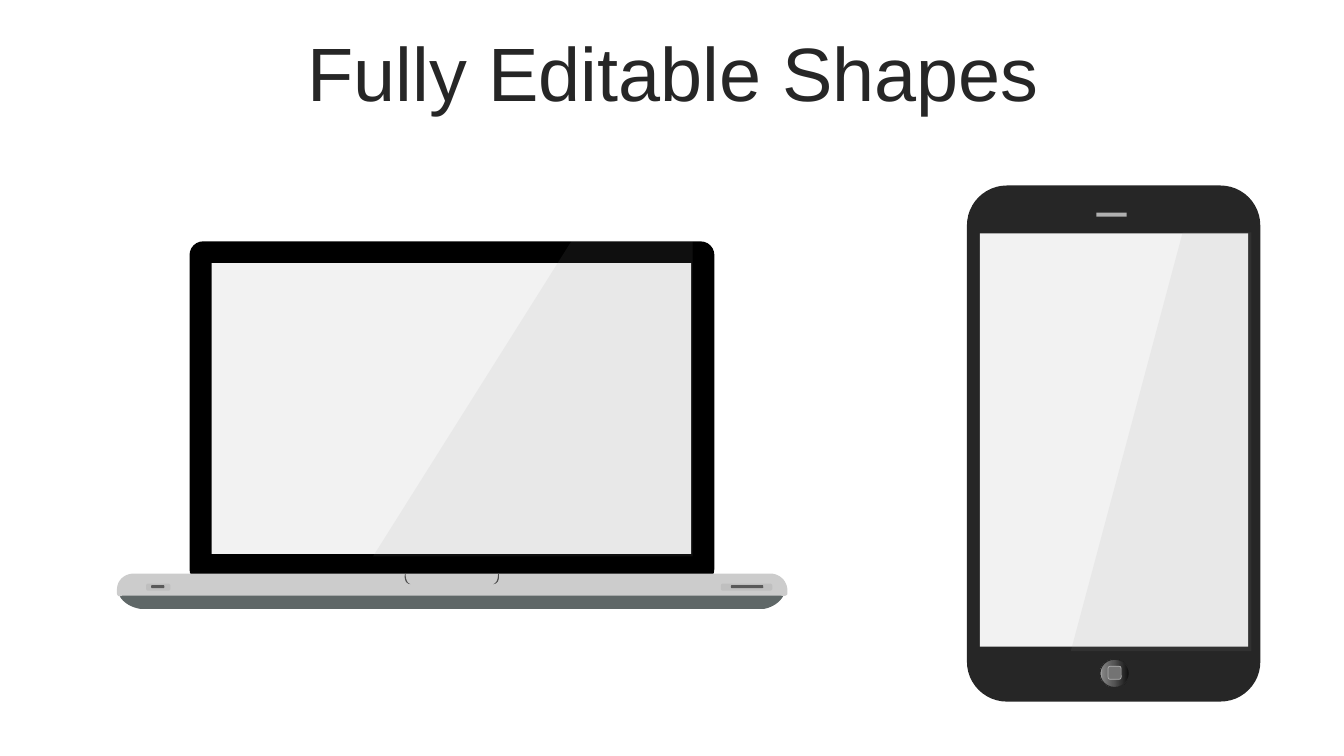
import dataclasses

import pptx
import pptx.dml.color
import pptx.enum.shapes
import pptx.enum.text
import pptx.oxml.ns
import pptx.util
from lxml import etree

SHAPE = pptx.enum.shapes.MSO_SHAPE
qn = pptx.oxml.ns.qn


@dataclasses.dataclass(frozen=True)
class Theme:
    font: str = "Arial"
    title_size: float = 54
    ink: str = "262626"
    lid: str = "000000"
    screen: str = "F2F2F2"
    glare: str = "999999"
    glare_alpha: int = 10
    deck: str = "CCCCCC"
    base: str = "5F6767"
    notch: str = "4D4D4D"
    port: str = "BFBFBF"
    slot: str = "595959"
    speaker: str = "B0B0B0"
    key: str = "737373"
    button: tuple = ((0, "0F0F0F"), (56, "595959"), (91, "808080"), (100, "BFBFBF"))


def rgb(color):
    return pptx.dml.color.RGBColor.from_string(color)


def trace(contour, steps=12):
    """Turn corners (x, y) and cubic curves (x1, y1, x2, y2, x, y) into points."""
    points = []
    for part in contour:
        if len(part) == 2:
            points.append(part)
            continue
        ends = [points[-1], part[:2], part[2:4], part[4:]]
        for i in range(1, steps + 1):
            t = i / steps
            weights = ((1 - t) ** 3, 3 * t * (1 - t) ** 2, 3 * t * t * (1 - t), t ** 3)
            points.append(tuple(sum(w * e[axis] for w, e in zip(weights, ends))
                                for axis in (0, 1)))
    return points


class Canvas:
    """Draws on a slide with a grid of 0.1 inch columns and rows."""

    CELL = pptx.util.Inches(0.1)

    def __init__(self, slide, theme):
        self.s = slide
        self.theme = theme

    def grid(self, *cells):
        return [pptx.util.Emu(round(c * self.CELL)) for c in cells]

    def paint(self, sp, fill, line=None, width=0, alpha=None):
        sp.shadow.inherit = False
        if isinstance(fill, str):
            sp.fill.solid()
            sp.fill.fore_color.rgb = rgb(fill)
        else:
            self.gradient(sp, fill)
        if alpha is not None:
            color = sp._element.spPr.find(".//" + qn("a:srgbClr"))
            etree.SubElement(color, qn("a:alpha"), val=str(alpha * 1000))
        if line:
            sp.line.color.rgb = rgb(line)
            sp.line.width = pptx.util.Pt(width)
        else:
            sp.line.fill.background()

    def gradient(self, sp, stops):
        sp.fill.gradient()
        sp.fill.gradient_angle = 180
        stop_list = sp._element.spPr.find(".//" + qn("a:gsLst"))
        for old in list(stop_list):
            stop_list.remove(old)
        for pos, color in stops:
            stop = etree.SubElement(stop_list, qn("a:gs"), pos=str(pos * 1000))
            etree.SubElement(stop, qn("a:srgbClr"), val=color)

    def shape(self, kind, box, fill, round_by=None, **style):
        sp = self.s.shapes.add_shape(kind, *self.grid(*box))
        if round_by is not None:
            sp.adjustments[0] = round_by
        self.paint(sp, fill, **style)

    def outline(self, contours, fill, **style):
        """Draw one freeform from one or more closed contours."""
        first, *others = [[self.grid(*p) for p in trace(c)] for c in contours]
        builder = self.s.shapes.build_freeform(*first[0], scale=1.0)
        builder.add_line_segments(first[1:], close=True)
        for points in others:
            builder.move_to(*points[0])
            builder.add_line_segments(points[1:], close=True)
        self.paint(builder.convert_to_shape(), fill, **style)

    def glare(self, top, bottom, left_top, left_bottom, right):
        self.outline([[(left_top, top), (right, top), (right, bottom), (left_bottom, bottom)]],
                     self.theme.glare, alpha=self.theme.glare_alpha)

    def title(self, text, box):
        tf = self.s.shapes.add_textbox(*self.grid(*box)).text_frame
        tf.word_wrap = True
        tf.vertical_anchor = pptx.enum.text.MSO_ANCHOR.MIDDLE
        p = tf.paragraphs[0]
        p.alignment = pptx.enum.text.PP_ALIGN.CENTER
        p.line_spacing = 0.9
        r = p.add_run()
        r.text = text
        r.font.name = self.theme.font
        r.font.size = pptx.util.Pt(self.theme.title_size)
        r.font.color.rgb = rgb(self.theme.ink)


def draw_phone(canvas):
    theme = canvas.theme
    canvas.shape(SHAPE.ROUNDED_RECTANGLE, (95.9, 18.4, 29.1, 51.2), theme.ink, 0.136)
    canvas.shape(SHAPE.RECTANGLE, (108.75, 21.1, 3, 0.4), theme.speaker)
    canvas.shape(SHAPE.OVAL, (109.1, 65.4, 2.9, 2.8), theme.button, line=theme.ink)
    canvas.shape(SHAPE.ROUNDED_RECTANGLE, (109.9, 66.1, 1.3, 1.3), theme.key,
                 line=theme.speaker, width=0.5)
    canvas.shape(SHAPE.RECTANGLE, (97.2, 23.15, 26.6, 41), theme.screen)
    canvas.glare(23.05, 64.6, 117.3, 106.2, 124.1)


def draw_laptop(canvas):
    theme = canvas.theme
    canvas.outline([[(75.8, 60.4), (75.8, 60.4, 77.1, 60.2, 77.7, 59.1),
                     (77.7, 58.7, 77.4, 58.5, 77, 58.5), (13.4, 58.7), (12.6, 58.7),
                     (12.2, 58.7, 11.9, 58.9, 11.9, 59.2),
                     (12.4, 60, 13.3, 60.3, 13.9, 60.4)]], theme.base)
    canvas.shape(SHAPE.ROUNDED_RECTANGLE, (18.8, 23.95, 52.05, 33.85), theme.lid, 0.04)
    canvas.shape(SHAPE.RECTANGLE, (21, 26.1, 47.55, 28.85), theme.screen)
    canvas.outline([[(13.3, 56.9), (76.4, 56.9), (77.3, 56.9, 78.1, 57.6, 78.1, 58.6),
                     (78.1, 58.9), (78.1, 58.9, 78.1, 59.2, 77.5, 59.1), (12.1, 59.1),
                     (11.9, 59.2, 11.6, 59.2, 11.6, 58.8), (11.6, 58.5),
                     (11.6, 57.6, 12.3, 56.9, 13.3, 56.9)]], theme.deck)

    notch_middle = 44.82
    notch_ends = []
    for side in (-1, 1):
        near, far, tip, bend = (notch_middle + side * d for d in (4.58, 4.65, 4.1, 4.85))
        notch_ends.append([(far, 56.9), (near, 56.9),
                           (near, 56.9, bend - side * 0.2, 57.8, tip, 57.95),
                           (bend, 57.9, far, 56.9, far, 56.9)])
    canvas.outline(notch_ends, theme.notch)

    for port_left, port_width, slot_left, slot_width in ((14.5, 2.4, 15, 1.3),
                                                         (71.5, 5.1, 72.5, 3.2)):
        canvas.shape(SHAPE.ROUNDED_RECTANGLE, (port_left, 57.9, port_width, 0.7),
                     theme.port, 0.28)
        canvas.shape(SHAPE.ROUNDED_RECTANGLE, (slot_left, 58.05, slot_width, 0.3),
                     theme.slot, 0.28)
    canvas.glare(23.9, 55.2, 56.7, 37, 68.7)


def main():
    prs = pptx.Presentation()
    prs.slide_width = pptx.util.Inches(13.33)
    prs.slide_height = pptx.util.Inches(7.5)
    s = prs.slides.add_slide(prs.slide_layouts[6])
    canvas = Canvas(s, Theme())
    canvas.title("Fully Editable Shapes", (3.5, 3.7, 126.6, 7.9))
    draw_phone(canvas)
    draw_laptop(canvas)
    prs.save("out.pptx")


if __name__ == "__main__":
    main()
